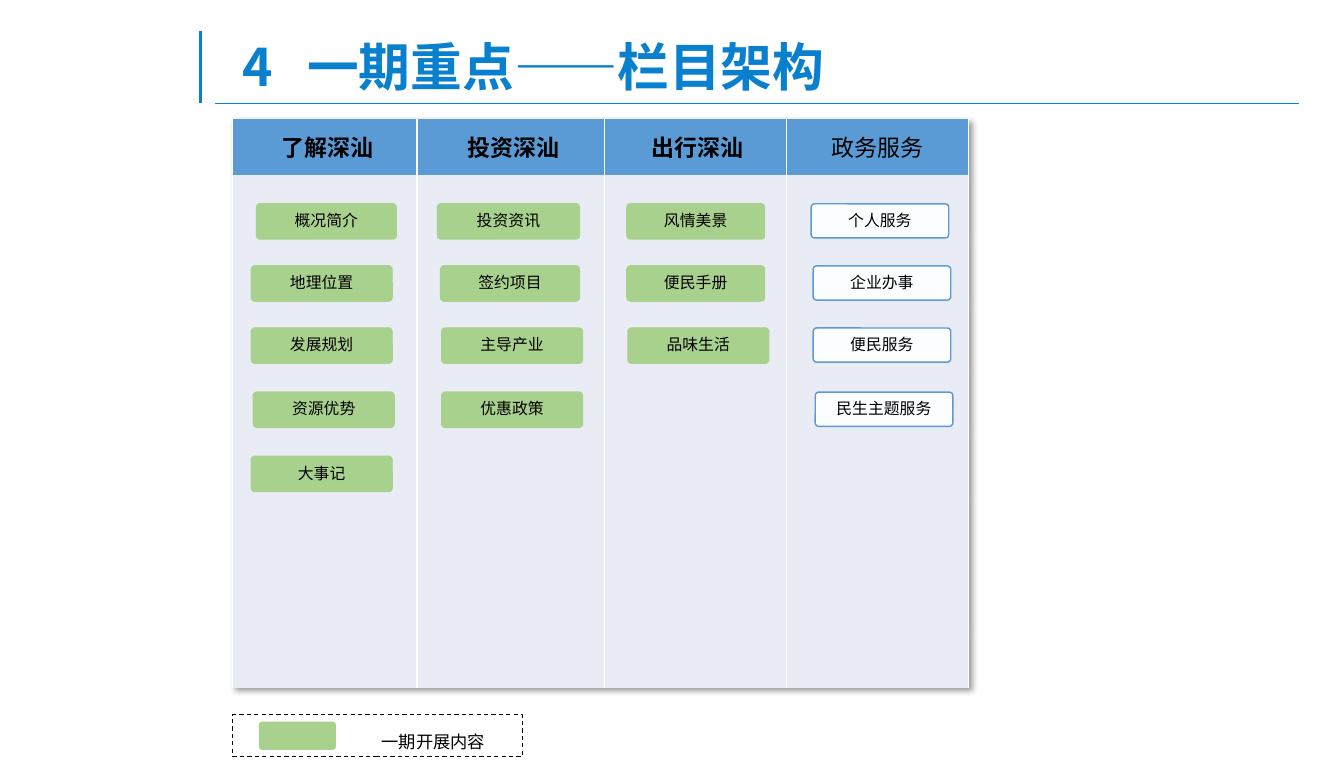
"""Build the slide on the column structure of the first phase."""
from lxml import etree
from pptx import Presentation
from pptx.dml.color import RGBColor
from pptx.enum.dml import MSO_LINE
from pptx.enum.shapes import MSO_CONNECTOR, MSO_SHAPE
from pptx.enum.text import MSO_ANCHOR, PP_ALIGN
from pptx.oxml import parse_xml
from pptx.oxml.ns import nsdecls, qn
from pptx.util import Inches, Pt

COLORS = {
    "title": "0980CD", "header": "5B9BD5", "body": "E9EBF5",
    "phase_one": "A9D18E", "white": "FFFFFF", "black": "000000",
}
FONT = "Noto Sans CJK SC"


def add_text(text_frame, text, size, color="black", bold=False, font=FONT, spacing=0.9, align=PP_ALIGN.CENTER):
    paragraph = text_frame.paragraphs[0]
    paragraph.alignment = align
    paragraph.line_spacing = spacing
    run = paragraph.add_run()
    run.text = text
    run.font.name = font
    run.font.size = Pt(size)
    run.font.bold = bold
    run.font.color.rgb = RGBColor.from_string(COLORS[color])
    etree.SubElement(run.font._element, qn("a:ea")).set("typeface", FONT)
    return paragraph


def add_box(kind, left, top, width, height, line, weight, fill=None):
    shape = slide.shapes.add_shape(kind, Inches(left), Inches(top), Inches(width), Inches(height))
    shape.shadow.inherit = False
    shape.line.color.rgb = RGBColor.from_string(COLORS[line])
    shape.line.width = Pt(weight)
    if fill:
        shape.fill.solid()
        shape.fill.fore_color.rgb = RGBColor.from_string(COLORS[fill])
    else:
        shape.fill.background()
    if kind == MSO_SHAPE.ROUNDED_RECTANGLE:
        shape.adjustments[0] = 0.1
    return shape


presentation = Presentation()
presentation.slide_width = Inches(12.99)
presentation.slide_height = Inches(7.48)
slide = presentation.slides.add_slide(presentation.slide_layouts[6])

for x1, y1, x2, y2, weight in [(2.08, 1, 12.56, 1, 0.5), (1.94, 0.3, 1.94, 1, 2.25)]:
    rule = slide.shapes.add_connector(MSO_CONNECTOR.STRAIGHT, Inches(x1), Inches(y1), Inches(x2), Inches(y2))
    rule.line.color.rgb = RGBColor.from_string(COLORS["title"])
    rule.line.width = Pt(weight)
    etree.SubElement(rule._element.spPr, qn("a:effectLst"))

title = slide.shapes.add_textbox(Inches(2.25), Inches(0.3), Inches(10.24), Inches(0.69)).text_frame
title.word_wrap = True
title.vertical_anchor = MSO_ANCHOR.BOTTOM
paragraph = add_text(title, "4\t一期重点——栏目架构", 36, "title", True, align=PP_ALIGN.LEFT)
tabs = etree.SubElement(paragraph._p.get_or_add_pPr(), qn("a:tabLst"))
etree.SubElement(tabs, qn("a:tab"), pos=str(Inches(0.62)), algn="l")

headers = [" 了解深汕", " 投资深汕", " 出行深汕", "政务服务"]
column_widths = [1.78, 1.81, 1.76, 1.76]
row_heights = [0.54, 0.62, 0.62, 0.62, 0.62, 0.62, 0.7, 0.62, 0.54]
table = slide.shapes.add_table(
    len(row_heights), len(headers), Inches(2.25), Inches(1.15), Inches(7.11), Inches(5.5)).table
table.horz_banding = False
table._tbl.tblPr.insert(0, parse_xml(
    f'<a:effectLst {nsdecls("a")}><a:outerShdw blurRad="50800" dist="38100" dir="2700000" algn="tl" '
    'rotWithShape="0"><a:prstClr val="black"><a:alpha val="40000"/></a:prstClr></a:outerShdw></a:effectLst>'))
for column, width in zip(table.columns, column_widths):
    column.width = Inches(width)
for row_index, height in enumerate(row_heights):
    table.rows[row_index].height = Inches(height)
    for column_index, header in enumerate(headers):
        cell = table.cell(row_index, column_index)
        cell.fill.solid()
        cell.fill.fore_color.rgb = RGBColor.from_string(COLORS["body" if row_index else "header"])
        cell.vertical_anchor = MSO_ANCHOR.MIDDLE
        properties = cell._tc.get_or_add_tcPr()
        for position, side in enumerate(["lnL", "lnR", "lnT", "lnB"]):
            border = etree.Element(qn(f"a:{side}"), w=str(Pt(1)))
            if side in ("lnL", "lnR"):
                solid = etree.SubElement(border, qn("a:solidFill"))
                etree.SubElement(solid, qn("a:srgbClr"), val=COLORS["white"])
            else:
                etree.SubElement(border, qn("a:noFill"))
            properties.insert(position, border)
        if row_index == 0:
            add_text(cell.text_frame, header, 16, bold=column_index < 3, font="Calibri", spacing=1.0)

item_tops = [1.97, 2.57, 3.17, 3.79, 4.41]
item_columns = [
    [("概况简介", 2.48, 1.35), ("地理位置", 2.43, 1.36), ("发展规划", 2.43, 1.36),
     ("资源优势", 2.45, 1.36), ("大事记", 2.43, 1.36)],
    [("投资资讯", 4.23, 1.37), ("签约项目", 4.26, 1.34), ("主导产业", 4.27, 1.36), ("优惠政策", 4.27, 1.36)],
    [("风情美景", 6.06, 1.33), ("便民手册", 6.06, 1.33), ("品味生活", 6.07, 1.36)],
    [("个人服务", 7.84, 1.33), ("企业办事", 7.86, 1.33), ("便民服务", 7.86, 1.33), ("民生主题服务", 7.88, 1.33)],
]
for column_index, items in enumerate(item_columns):
    later = column_index == 3
    line, fill = ("header", "white") if later else ("phase_one", "phase_one")
    for top, (label, left, width) in zip(item_tops, items):
        item = add_box(MSO_SHAPE.ROUNDED_RECTANGLE, left, top, width, 0.33 if later else 0.34, line, 1, fill)
        if later:
            color = item.fill._xPr.find(qn("a:solidFill"))[0]
            etree.SubElement(color, qn("a:alpha"), val="90000")
        frame = item.text_frame
        frame.word_wrap = True
        frame.vertical_anchor = MSO_ANCHOR.MIDDLE
        frame.margin_left = frame.margin_right = Inches(0.03)
        frame.margin_top = frame.margin_bottom = Inches(0.02)
        add_text(frame, label, 11)

legend = add_box(MSO_SHAPE.RECTANGLE, 2.25, 6.91, 2.8, 0.4, "black", 0.75)
legend.line.dash_style = MSO_LINE.DASH
add_box(MSO_SHAPE.ROUNDED_RECTANGLE, 2.51, 6.98, 0.73, 0.26, "phase_one", 1, "phase_one")
legend_label = slide.shapes.add_textbox(Inches(3.59), Inches(6.92), Inches(1.46), Inches(0.4)).text_frame
legend_label.word_wrap = True
add_text(legend_label, "一期开展内容", 12, spacing=1.5, align=PP_ALIGN.LEFT)

presentation.save("out.pptx")
